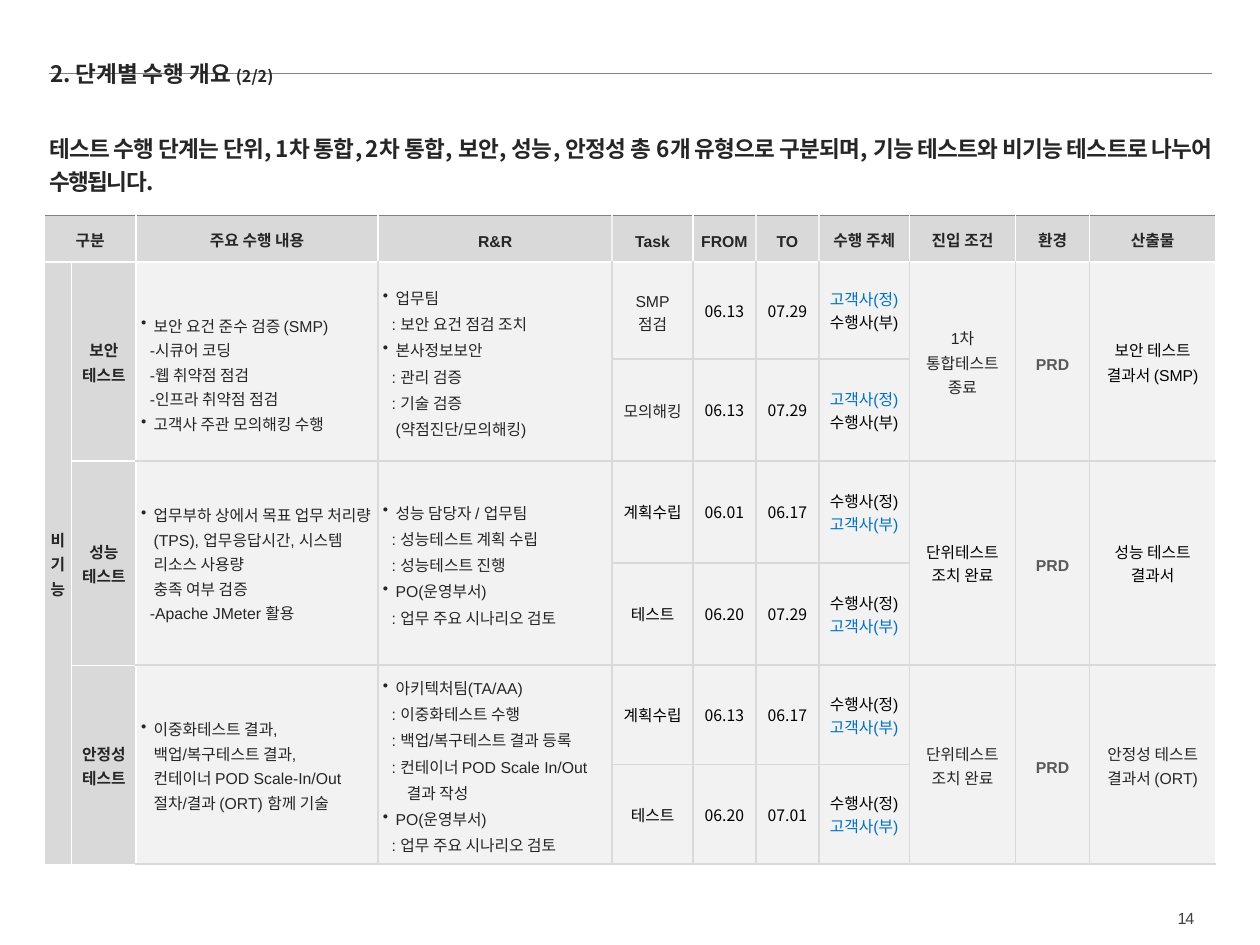
import dataclasses

import lxml.etree
import pptx
import pptx.dml.color
import pptx.enum.dml
import pptx.enum.shapes
import pptx.enum.text
import pptx.oxml
import pptx.oxml.ns
import pptx.util


@dataclasses.dataclass(frozen=True)
class Theme:
    ink: str = "262626"
    black: str = "000000"
    blue: str = "0070C0"
    muted: str = "595959"
    number: str = "404040"
    rule: str = "808080"
    header: str = "D9D9D9"
    body: str = "F2F2F2"
    white: str = "FFFFFF"
    latin: str = "Arial"
    korean: str = "Noto Sans CJK KR"
    title_size: float = 12.9
    note_size: float = 9.2
    cell_size: float = 9


@dataclasses.dataclass(frozen=True)
class Style:
    """How one paragraph of the table looks; left and first are indents in units."""
    color: str = Theme.ink
    bold: bool = False
    font: str = Theme.latin
    spacing: float = 14
    align: str = "CENTER"
    left: int = 0
    first: int = 0
    bullet: bool = False


theme = Theme()
styles = {
    "head": Style(bold=True),
    "plain": Style(),
    "black": Style(color=theme.black),
    "muted": Style(color=theme.muted, bold=True),
    "dark": Style(color=theme.black, font=theme.korean, spacing=1.0),
    "client": Style(color=theme.blue, spacing=1.0),
    "vendor": Style(color=theme.black, spacing=1.0),
    "bullet": Style(align="LEFT", left=10, first=-10, bullet=True),
    "dash": Style(align="LEFT", left=7),
    "colon": Style(align="LEFT", spacing=15, left=19, first=-12),
    "paren": Style(align="LEFT", spacing=15, left=10),
}

deck = pptx.Presentation()
deck.slide_width = pptx.util.Inches(10)
deck.slide_height = pptx.util.Inches(7.5)
unit = deck.slide_width // 1000
page = deck.slides.add_slide(deck.slide_layouts[6])


def add_span(para, text, size, color, bold, font, tracking=0):
    """Add text as runs, with a line break at each newline."""
    for index, line in enumerate(text.split("\n")):
        if index:
            para.add_line_break()
        span = para.add_run()
        span.text = line
        span.font.size = pptx.util.Pt(size)
        span.font.bold = bold
        span.font.name = font
        span.font.color.rgb = pptx.dml.color.RGBColor.from_string(color)
        properties = span.font._element
        if tracking:
            properties.set("spc", str(tracking))
        east = lxml.etree.SubElement(properties, pptx.oxml.ns.qn("a:ea"))
        east.set("typeface", theme.korean)


def add_box(left, top, width, height, side, edge, wrap=True):
    """Add a text box, in units, and return its frame and first paragraph."""
    box = page.shapes.add_textbox(left * unit, top * unit, width * unit, height * unit)
    frame = box.text_frame
    frame.word_wrap = wrap
    frame.margin_left = frame.margin_right = side * unit
    frame.margin_top = frame.margin_bottom = edge * unit
    return frame, frame.paragraphs[0]


# Header rule, page number and title
rule = page.shapes.add_connector(
    pptx.enum.shapes.MSO_CONNECTOR.STRAIGHT, 39 * unit, 58 * unit, 961 * unit, 58 * unit)
rule.line.color.rgb = pptx.dml.color.RGBColor.from_string(theme.rule)
rule.line.width = pptx.util.Pt(0.25)
rule.line.dash_style = pptx.enum.dml.MSO_LINE.ROUND_DOT
lxml.etree.SubElement(rule._element.spPr, pptx.oxml.ns.qn("a:effectLst"))

frame, para = add_box(934, 720, 14, 16, 0, 0, wrap=False)
frame.vertical_anchor = pptx.enum.text.MSO_ANCHOR.MIDDLE
para.alignment = pptx.enum.text.PP_ALIGN.RIGHT
para.line_spacing = 1.1
add_span(para, "14", theme.note_size, theme.number, False, theme.latin, -60)

frame, para = add_box(30, 43, 911, 33, 10, 5)
add_span(para, "2. 단계별 수행 개요 ", theme.title_size, theme.ink, True, theme.korean)
add_span(para, "(2/2)", theme.note_size, theme.ink, True, theme.korean)

# Table content: (row, column) -> paragraphs of (style, text)
headings = {0: "구분", 2: "주요 수행 내용", 3: "R&R", 4: "Task", 5: "FROM", 6: "TO",
            7: "수행 주체", 8: "진입 조건", 9: "환경", 10: "산출물"}
content = {(0, column): [("head", text)] for column, text in headings.items()}
content[1, 0] = [("head", "비기"), ("head", "능")]
for row, name in ((1, "보안"), (3, "성능"), (5, "안정성")):
    content[row, 1] = [("head", name), ("head", "테스트")]
    content[row, 9] = [("muted", "PRD")]

tasks = [
    ("plain", "SMP\n점검", "06.13", "07.29"),
    ("plain", "모의해킹", "06.13", "07.29"),
    ("dark", "계획수립", "06.01", "06.17"),
    ("dark", "테스트", "06.20", "07.29"),
    ("dark", "계획수립", "06.13", "06.17"),
    ("dark", "테스트", "06.20", "07.01"),
]
for row, (style, task, start, finish) in enumerate(tasks, 1):
    content[row, 4] = [(style, line) for line in task.split("\n")]
    content[row, 5] = [("dark", start)]
    content[row, 6] = [("dark", finish)]
    if row <= 2:
        content[row, 7] = [("client", "고객사(정)"), ("vendor", "수행사(부)")]
    else:
        content[row, 7] = [("vendor", "수행사(정)"), ("client", "고객사(부)")]

content.update({
    (1, 2): [("bullet", "보안 요건 준수 검증 (SMP)"), ("dash", "-시큐어 코딩"),
             ("dash", "-웹 취약점 점검"), ("dash", "-인프라 취약점 점검"),
             ("bullet", "고객사 주관 모의해킹 수행")],
    (1, 3): [("bullet", "업무팀"), ("colon", ": 보안 요건 점검 조치"),
             ("bullet", "본사정보보안"), ("colon", ": 관리 검증"),
             ("colon", ": 기술 검증"), ("paren", "(약점진단/모의해킹)")],
    (1, 8): [("plain", "1차"), ("plain", "통합테스트"), ("plain", "종료")],
    (1, 10): [("black", "보안 테스트"), ("black", "결과서 (SMP)")],
    (3, 2): [("bullet", "업무부하 상에서 목표 업무 처리량(TPS), 업무응답시간, 시스템 리소스 사용량\n"
                        "충족 여부 검증"),
             ("dash", "-Apache JMeter 활용")],
    (3, 3): [("bullet", "성능 담당자 / 업무팀"), ("colon", ": 성능테스트 계획 수립"),
             ("colon", ": 성능테스트 진행"), ("bullet", "PO(운영부서)"),
             ("colon", ": 업무 주요 시나리오 검토")],
    (3, 8): [("dark", "단위테스트\n조치 완료")],
    (3, 10): [("dark", "성능 테스트"), ("dark", "결과서")],
    (5, 2): [("bullet", "이중화테스트 결과,\n백업/복구테스트 결과,\n"
                        "컨테이너 POD Scale-In/Out 절차/결과 (ORT) 함께 기술")],
    (5, 3): [("bullet", "아키텍처팀(TA/AA)"), ("colon", ": 이중화테스트 수행"),
             ("colon", ": 백업/복구테스트 결과 등록"),
             ("colon", ": 컨테이너 POD Scale In/Out 결과 작성"),
             ("bullet", "PO(운영부서)"), ("colon", ": 업무 주요 시나리오 검토")],
    (5, 8): [("plain", "단위테스트"), ("plain", "조치 완료")],
    (5, 10): [("plain", "안정성 테스트 결과서 (ORT)")],
})

# Table grid
column_widths = [22, 51, 192, 186, 64, 50, 50, 72, 84, 59, 100]
row_heights = [37, 77, 81, 81, 81, 79, 79]
last_column = len(column_widths)
table = page.shapes.add_table(
    len(row_heights), last_column, 35 * unit, 171 * unit,
    sum(column_widths) * unit, sum(row_heights) * unit).table
table.horz_banding = False
for column, width in zip(table.columns, column_widths):
    column.width = width * unit
for row, height in zip(table.rows, row_heights):
    row.height = height * unit

table.cell(0, 0).merge(table.cell(0, 1))
table.cell(1, 0).merge(table.cell(6, 0))
for row in (1, 3, 5):
    for column in (1, 2, 3, 8, 9, 10):
        table.cell(row, column).merge(table.cell(row + 1, column))

# Fills and borders: header row and the two label columns are darker with white lines
for row in range(len(row_heights)):
    for column in range(last_column):
        cell = table.cell(row, column)
        shaded = row == 0 or column < 2
        cell.fill.solid()
        cell.fill.fore_color.rgb = pptx.dml.color.RGBColor.from_string(
            theme.header if shaded else theme.body)
        borders = []
        for tag, edge in (("lnL", column), ("lnR", column + 1)):
            if row == 0 and edge in (4, 6, 7):
                borders.append((tag, theme.body, 1))
            elif row == 0 or edge <= 2 or edge == last_column:
                borders.append((tag, theme.white, 0.75 if edge <= 2 else 1))
            else:
                borders.append((tag, theme.header, 1))
        for tag, edge in (("lnT", row), ("lnB", row + 1)):
            if edge == 0:
                borders.append((tag, theme.rule, 1))
            elif edge == 1 or column < 2:
                borders.append((tag, theme.white, 0.75))
            else:
                borders.append((tag, theme.header, 1))
        properties = cell._tc.get_or_add_tcPr()
        for index, (tag, color, weight) in enumerate(borders):
            properties.insert(index, pptx.oxml.parse_xml(
                f'<a:{tag} {pptx.oxml.ns.nsdecls("a")} w="{pptx.util.Pt(weight)}">'
                f'<a:solidFill><a:srgbClr val="{color}"/></a:solidFill></a:{tag}>'))

# Table text
for (row, column), paragraphs in content.items():
    cell = table.cell(row, column)
    cell.vertical_anchor = pptx.enum.text.MSO_ANCHOR.MIDDLE
    cell.margin_left = cell.margin_right = 4 * unit
    cell.margin_top = (21 if (row, column) == (1, 2) else 2) * unit
    cell.margin_bottom = 2 * unit
    for index, (name, text) in enumerate(paragraphs):
        style = styles[name]
        para = cell.text_frame.add_paragraph() if index else cell.text_frame.paragraphs[0]
        para.alignment = pptx.enum.text.PP_ALIGN[style.align]
        spacing = 15 if column == 3 and row else style.spacing
        para.line_spacing = spacing if spacing == 1.0 else pptx.util.Pt(spacing)
        properties = para._p.get_or_add_pPr()
        properties.set("marL", str(style.left * unit))
        properties.set("indent", str(style.first * unit))
        if style.bullet:
            lxml.etree.SubElement(properties, pptx.oxml.ns.qn("a:buChar")).set("char", "•")
        add_span(para, text, theme.cell_size, style.color, style.bold, style.font)

# Key message
frame, para = add_box(35, 99, 930, 55, 4, 4)
para.alignment = pptx.enum.text.PP_ALIGN.JUSTIFY
para.line_spacing = pptx.util.Pt(18.5)
add_span(para, "테스트 수행 단계는 단위, 1차 통합, 2차 통합, 보안, 성능, 안정성 총 6개 유형으로 구분되며, "
               "기능 테스트와 비기능 테스트로 나누어 수행됩니다.",
         theme.title_size, theme.ink, True, theme.korean, -80)

deck.save("out.pptx")
